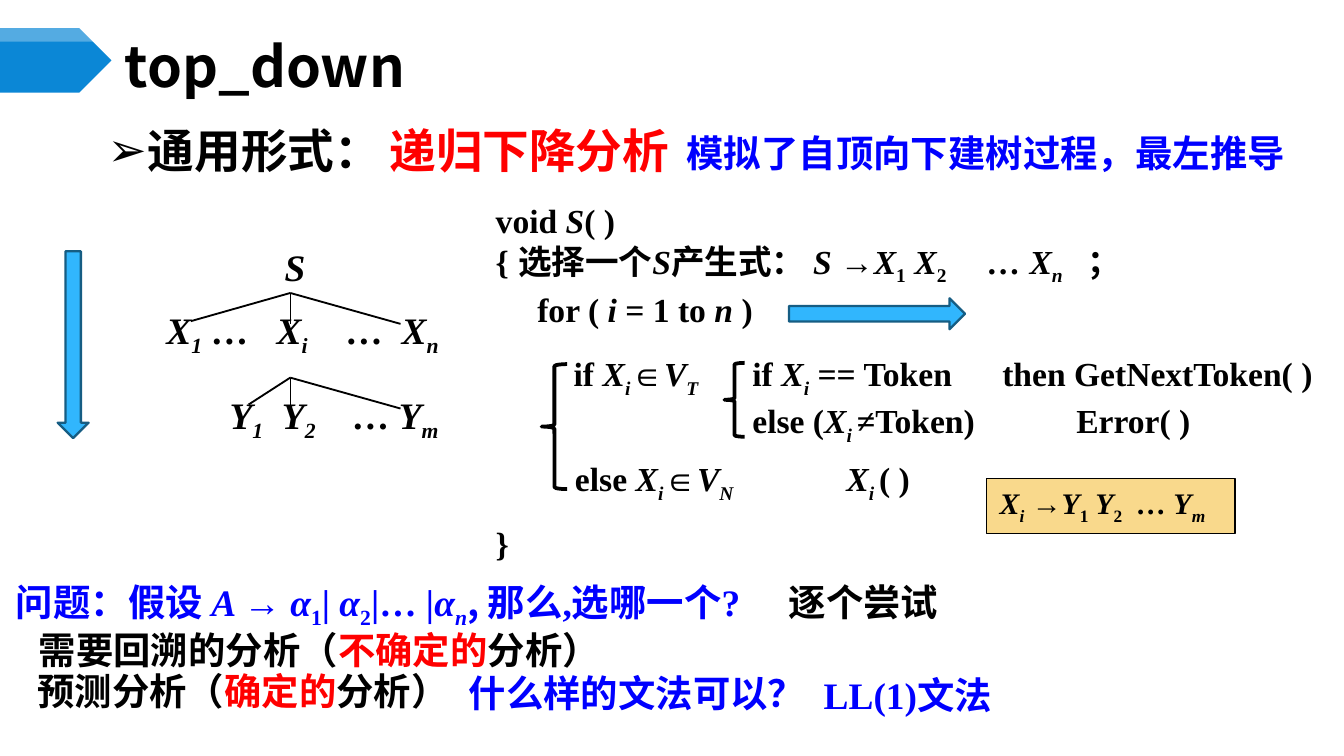
"""Build the top_down slide on recursive descent parsing."""
from lxml import etree
from pptx import Presentation
from pptx.dml.color import RGBColor
from pptx.enum.shapes import MSO_CONNECTOR, MSO_SHAPE
from pptx.enum.text import MSO_ANCHOR, MSO_AUTO_SIZE, PP_ALIGN
from pptx.oxml.ns import qn
from pptx.util import Pt

LEFT, CENTER = PP_ALIGN.LEFT, PP_ALIGN.CENTER
TOP, MIDDLE = MSO_ANCHOR.TOP, MSO_ANCHOR.MIDDLE
NO_FIT = MSO_AUTO_SIZE.NONE
STRAIGHT = MSO_CONNECTOR.STRAIGHT
BRACE, RECT = MSO_SHAPE.LEFT_BRACE, MSO_SHAPE.RECTANGLE
DOWN, RIGHT = MSO_SHAPE.DOWN_ARROW, MSO_SHAPE.RIGHT_ARROW
SERIF, SANS = "Times New Roman", "Noto Sans CJK SC"
BLACK, RED, BLUE = "000000", "FF0000", "0000FF"

prs = Presentation()
prs.slide_width, prs.slide_height = Pt(720), Pt(405)
U = prs.slide_width // 100
s = prs.slides.add_slide(prs.slide_layouts[1])


def write(sp, runs, size=18, color=BLACK, font=SERIF, align=LEFT, anchor=TOP,
          wrap=True, tabs=(), bullet=None):
    """Write (text, flags) runs; flags: i italic, s subscript, r red, c sans."""
    tf = sp.text_frame
    tf.auto_size, tf.word_wrap, tf.vertical_anchor = NO_FIT, wrap, anchor
    p = tf.paragraphs[0]
    p.alignment, p.space_before = align, Pt(0)
    pPr = p._p.get_or_add_pPr()
    if bullet:
        pPr.set("marL", str(3 * U))
        pPr.set("indent", str(-3 * U))
        etree.SubElement(pPr, qn("a:buChar"), char=bullet)
    if tabs:
        tab_list = etree.SubElement(pPr, qn("a:tabLst"))
        for tab in tabs:
            etree.SubElement(tab_list, qn("a:tab"), pos=str(int(tab * U)), algn="l")
    for text, flags in runs:
        r = p.add_run()
        r.text = text
        r.font.name = SANS if "c" in flags else font
        r.font.size, r.font.bold, r.font.italic = Pt(size), True, "i" in flags
        r.font.color.rgb = RGBColor.from_string(RED if "r" in flags else color)
        rPr = r._r.get_or_add_rPr()
        etree.SubElement(rPr, qn("a:ea"), typeface=SANS)
        if "s" in flags:
            rPr.set("baseline", "-25000")


def paint(sp, fill=None, line=None, width=1):
    """Set fill and line from hex strings, None meaning empty."""
    sp.shadow.inherit = False
    for part, color in ((sp.fill, fill), (sp.line.fill, line)):
        if color:
            part.solid()
            part.fore_color.rgb = RGBColor.from_string(color)
        else:
            part.background()
    if line:
        sp.line.width = Pt(width)


title, body = s.placeholders
for sp, at in ((title, (8.3, 2.9, 86.7, 3.9)), (body, (7, 8.6, 91.8, 7))):
    sp.left, sp.top, sp.width, sp.height = [int(v * U) for v in at]
write(title, [("top_down", "")], size=30, font=SANS, anchor=MIDDLE)
write(body, [("通用形式：", "")], size=25, bullet="➢")
body.text_frame.paragraphs[0].line_spacing = Pt(30)

for color, points in (
        ("0B87D6", [(0, 2.1), (5.9, 2.1), (8.3, 4.5), (5.9, 6.9), (0, 6.9)]),
        ("FFFFFF", [(0, 2.1), (7.8, 2.1), (8.3, 2.6), (7.8, 3.1), (0, 3.1)])):
    points = [(int(x * U), int(y * U)) for x, y in points]
    fb = s.shapes.build_freeform(*points[0])
    fb.add_line_segments(points[1:])
    sp = fb.convert_to_shape()
    paint(sp, color)
band_color = sp._element.spPr.find(qn("a:solidFill"))[0]
etree.SubElement(band_color, qn("a:alpha"), val="30000")

for top, left_end, left_drop in ((21.8, 14.2, 2.1), (28.1, 18.5, 2)):
    for x, drop, width in ((left_end, left_drop, 1), (21.6, 2.3, 0.75), (29.8, 2.3, 1)):
        ends = [int(v * U) for v in (21.6, top, x, top + drop)]
        cn = s.shapes.add_connector(STRAIGHT, *ends)
        cn.line.color.rgb = RGBColor.from_string(BLACK)
        cn.line.width = Pt(width)
        etree.SubElement(cn._element.spPr, qn("a:effectLst"))

for kind, at, fill, line, width, adj in (
        (BRACE, (40.3, 27.1, 1.9, 9.3), None, BLACK, 2, (0.08, 0.5)),
        (BRACE, (53.9, 27, 1.5, 5.5), None, BLACK, 2, (0.08, 0.5)),
        (DOWN, (4.3, 18.7, 2.3, 13.9), "31B6FD", "165D83", 1.25, (0.5, 0.5)),
        (RIGHT, (58.7, 22.2, 13.1, 2.3), "31B6FD", "165D83", 1.25, (0.5, 0.5)),
        (RECT, (73.4, 35.6, 18.5, 4.1), "F9D98C", BLACK, 0.75, ())):
    sp = s.shapes.add_shape(kind, *[int(v * U) for v in at])
    paint(sp, fill, line, width)
    for i, value in enumerate(adj):
        sp.adjustments[i] = value
write(sp, [("X", "i"), ("i", "is"), (" →Y", "i"), ("1", "s"), (" Y", "i"), ("2", "s"),
           ("\t… Y", "i"), ("m", "is")], size=16, tabs=[10.2])

X_I = [("X", "i"), ("i", "is")]
tree = dict(size=20, anchor=MIDDLE)
loose = dict(wrap=False)
big = dict(size=20, wrap=False)
ask = dict(size=20, wrap=False, color=BLUE)
for at, runs, fmt in (
        ((19.2, 18.6, 5.5, 2.4), [("S", "i")], dict(tree, align=CENTER)),
        ((11.4, 22.6, 26.6, 4.3),
         [("X", "i"), ("1", "is"), ("\t…\tX", "i"), ("i", "is"), ("\t…\tX", "i"), ("n", "is")],
         dict(tree, tabs=[3.4, 8.2, 13.4, 17.5])),
        ((16.1, 28.9, 19.7, 4.3),
         [("Y", "i"), ("1", "is"), ("\tY", "i"), ("2", "is"), ("\t…\tY", "i"), ("m", "is")],
         dict(tree, tabs=[3.9, 9.2, 12.6])),
        ((41.7, 25.8, 12.5, 4.4),
         [("if ", ""), *X_I, ("∈", ""), ("V", "i"), ("T", "is")], {}),
        ((55, 25.8, 19.8, 4.4), [("if ", ""), *X_I, (" == Token", "")], {}),
        ((73.6, 25.8, 26.3, 4), [("then GetNextToken( )", "")], {}),
        ((55, 29.3, 23.6, 4.4),
         [("else (", ""), *X_I, (" ", "is"), ("≠Token)", "")], {}),
        ((79.1, 29.3, 19.9, 4), [("Error( )", "")], {}),
        ((41.8, 33.6, 18.7, 4.4),
         [("else ", ""), *X_I, ("∈", ""), ("V", "i"), ("N", "is")], {}),
        ((62, 33.6, 7.6, 4.4), [*X_I, (" ", "is"), ("( )", "")], {}),
        ((35.9, 14.4, 11.5, 4), [("void ", ""), ("S", "i"), ("( )", "")], loose),
        ((35.9, 17.4, 4, 4), [("{", "")], {}),
        ((35.9, 38.4, 4, 4), [("}", "")], {}),
        ((37, 17.4, 48.4, 4.4),
         [(" 选择一个", ""), ("S", "i"), ("产生式： ", "c"), ("S →X", "i"), ("1", "s"),
          (" X", "i"), ("2", "s"), ("\t… X", "i"), ("n", "is"), ("\t；", "c")],
         dict(tabs=[35.5, 42.9])),
        ((39, 21, 18.7, 4),
         [("for ( ", ""), ("i ", "i"), ("= 1 to ", ""), ("n", "i"), (" )", "")], loose),
        ((28, 8.6, 22.8, 5.2), [("递归下降分析", "r")], dict(size=25, wrap=False)),
        ((50.1, 9.2, 46.5, 4.4), [("模拟了自顶向下建树过程，最左推导", "")], ask),
        ((0.2, 42.6, 59.4, 4.8),
         [("问题：假设 ", ""), ("A → α", "i"), ("1", "s"), ("|", ""), (" α", "i"), ("2", "s"),
          ("|… ", ""), ("|α", "i"), ("n", "is"), (", ", "c"), ("那么,选哪一个?", "")], ask),
        ((57.7, 42.6, 13.1, 4.4), [("逐个尝试", "")], big),
        ((1.9, 46.2, 43.7, 4.4),
         [("需要回溯的分析（", ""), ("不确定的", "r"), ("分析）", "")], big),
        ((1.8, 49.2, 32.6, 4.4),
         [("预测分析（", ""), ("确定的", "r"), ("分析）", "")], big),
        ((33.9, 49.4, 27, 4.4), [("什么样的文法可以？", "")], ask),
        ((60.3, 49.5, 15.2, 4.4), [("LL(1)文法", "")], ask)):
    write(s.shapes.add_textbox(*[int(v * U) for v in at]), runs, **fmt)

prs.save("out.pptx")
